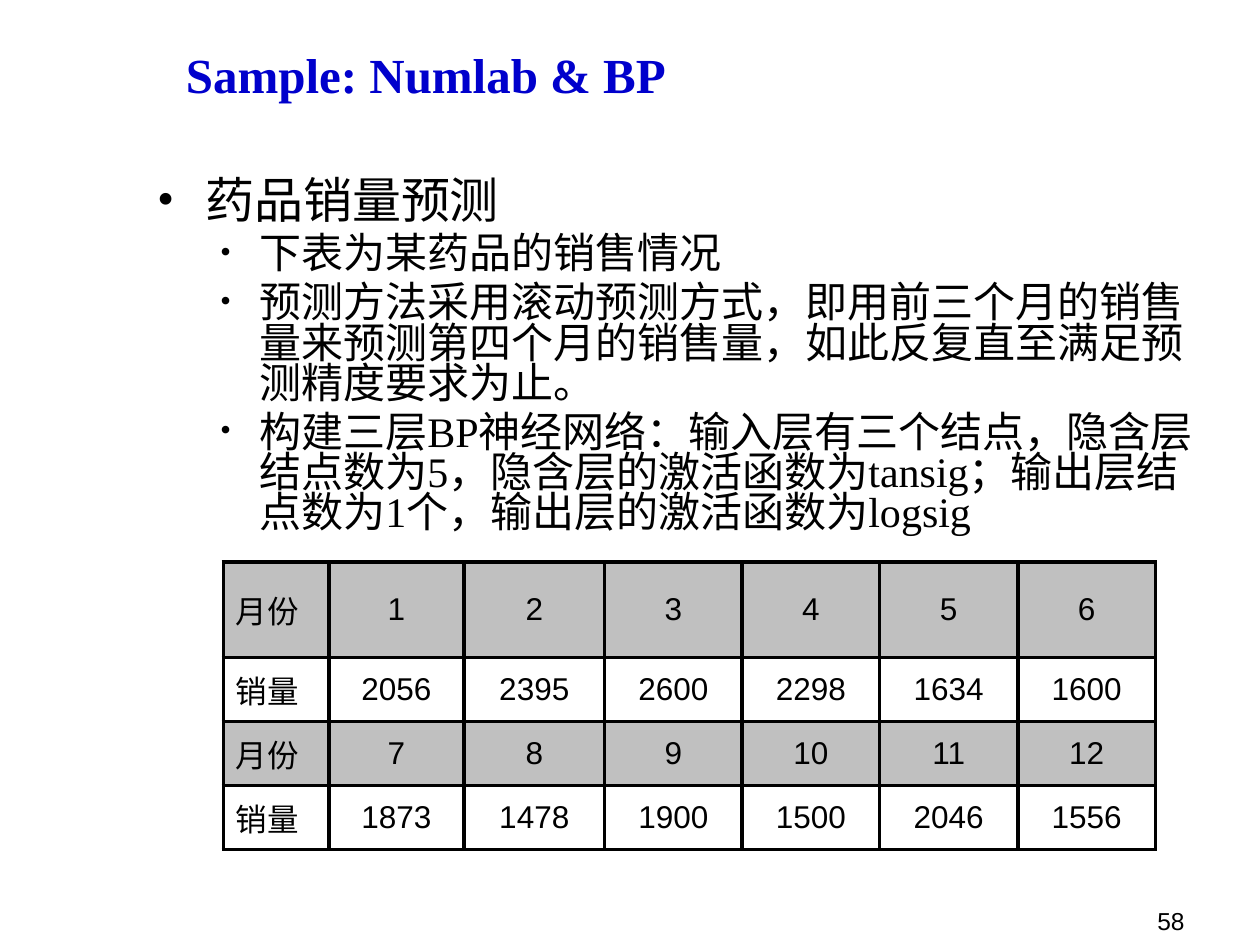
from lxml.etree import SubElement
from pptx import Presentation
from pptx.dml.color import RGBColor as RGB
from pptx.enum.text import MSO_ANCHOR as Anchor, PP_ALIGN as Align
from pptx.oxml import parse_xml
from pptx.oxml.ns import nsdecls, qn
from pptx.util import Cm, Pt

TITLE = "Sample: Numlab & BP"
PAGE = "58"
POINTS = [
    (0, "药品销量预测"),
    (1, "下表为某药品的销售情况"),
    (1, "预测方法采用滚动预测方式，即用前三个月的销售量来预测第四个月的销售量，"
        "如此反复直至满足预测精度要求为止。"),
    (1, "构建三层BP神经网络：输入层有三个结点，隐含层结点数为5，"
        "隐含层的激活函数为tansig；输出层结点数为1个，输出层的激活函数为logsig"),
]
SALES = [2056, 2395, 2600, 2298, 1634, 1600, 1873, 1478, 1900, 1500, 2046, 1556]
HALF = 6
COLS = [2.13, 2.72, 2.84, 2.77, 2.77, 2.79, 2.77]
ROWS = [1.93, 1.29, 1.29, 1.29]


class Theme:
    ink, blue, grey = "000000", "0000CC", "C0C0C0"
    serif, sans = "Times New Roman", "Arial"
    title, cell, page = 28, 18, 14
    level = [28, 24]
    indent = [(0.97, 0.97), (2.06, 0.79)]  # left margin and hang, in cm
    dot = [100, 75]  # bullet size, percent of text
    line = 2.25


def write(para, text, size, font=Theme.sans, color=Theme.ink, bold=False, align=None):
    run = para.add_run()
    run.text = text
    face = run.font
    face.size, face.name, face.bold = Pt(size), font, bold
    face.color.rgb = RGB.from_string(color)
    para.alignment = align


def add_box(slide, left, top, width, height, anchor=Anchor.TOP):
    frame = slide.shapes.add_textbox(Cm(left), Cm(top), Cm(width), Cm(height)).text_frame
    frame.word_wrap = True
    frame.vertical_anchor = anchor
    return frame


def add_bullet(para, level):
    left, hang = Theme.indent[level]
    props = para._p.get_or_add_pPr()
    props.set("marL", str(Cm(left)))
    props.set("indent", str(-Cm(hang)))
    SubElement(props, qn("a:buSzPct")).set("val", str(Theme.dot[level] * 1000))
    SubElement(props, qn("a:buFont")).set("typeface", Theme.serif)
    SubElement(props, qn("a:buChar")).set("char", "•")


def add_points(frame):
    for i, (level, text) in enumerate(POINTS):
        para = frame.add_paragraph() if i else frame.paragraphs[0]
        para.level = level
        add_bullet(para, level)
        size = Theme.level[level]
        para.line_spacing = 0.8
        if i:
            para.space_before = Pt(size * 0.2)
        write(para, text, size, Theme.serif)


def add_border(cell):
    props = cell._tc.get_or_add_tcPr()
    for i, side in enumerate("LRTB"):
        props.insert(i, parse_xml(
            f'<a:ln{side} {nsdecls("a")} w="{Pt(Theme.line)}"><a:solidFill>'
            f'<a:srgbClr val="{Theme.ink}"/></a:solidFill></a:ln{side}>'))


def sales_rows():
    """Give a row of months and a row of sales for each half year."""
    for start in range(0, len(SALES), HALF):
        yield ["月份", *range(start + 1, start + HALF + 1)]
        yield ["销量", *SALES[start:start + HALF]]


def add_sales(slide, left, top):
    table = slide.shapes.add_table(len(ROWS), len(COLS), Cm(left), Cm(top),
                                   Cm(sum(COLS)), Cm(sum(ROWS))).table
    for col, width in zip(table.columns, COLS):
        col.width = Cm(width)
    for row, height in zip(table.rows, ROWS):
        row.height = Cm(height)
    for r, values in enumerate(sales_rows()):
        for c, value in enumerate(values):
            cell = table.cell(r, c)
            cell.vertical_anchor = Anchor.MIDDLE
            if r % 2:
                cell.fill.background()
            else:
                cell.fill.solid()
                cell.fill.fore_color.rgb = RGB.from_string(Theme.grey)
            add_border(cell)
            write(cell.text_frame.paragraphs[0], str(value), Theme.cell,
                  align=Align.CENTER if c else Align.LEFT)


def main():
    deck = Presentation()
    deck.slide_width, deck.slide_height = Cm(25.4), Cm(19.05)
    slide = deck.slides.add_slide(deck.slide_layouts[6])
    page = add_box(slide, 15.09, 18.14, 9.04, 0.61)
    write(page.paragraphs[0], PAGE, Theme.page, align=Align.RIGHT)
    add_points(add_box(slide, 2.92, 3.53, 21.59, 7.59))
    add_sales(slide, 4.5, 11.33)
    title = add_box(slide, 3.5, 0.13, 21.59, 2.74, Anchor.MIDDLE)
    write(title.paragraphs[0], TITLE, Theme.title, Theme.serif, Theme.blue, bold=True)
    deck.save("out.pptx")


if __name__ == "__main__":
    main()
